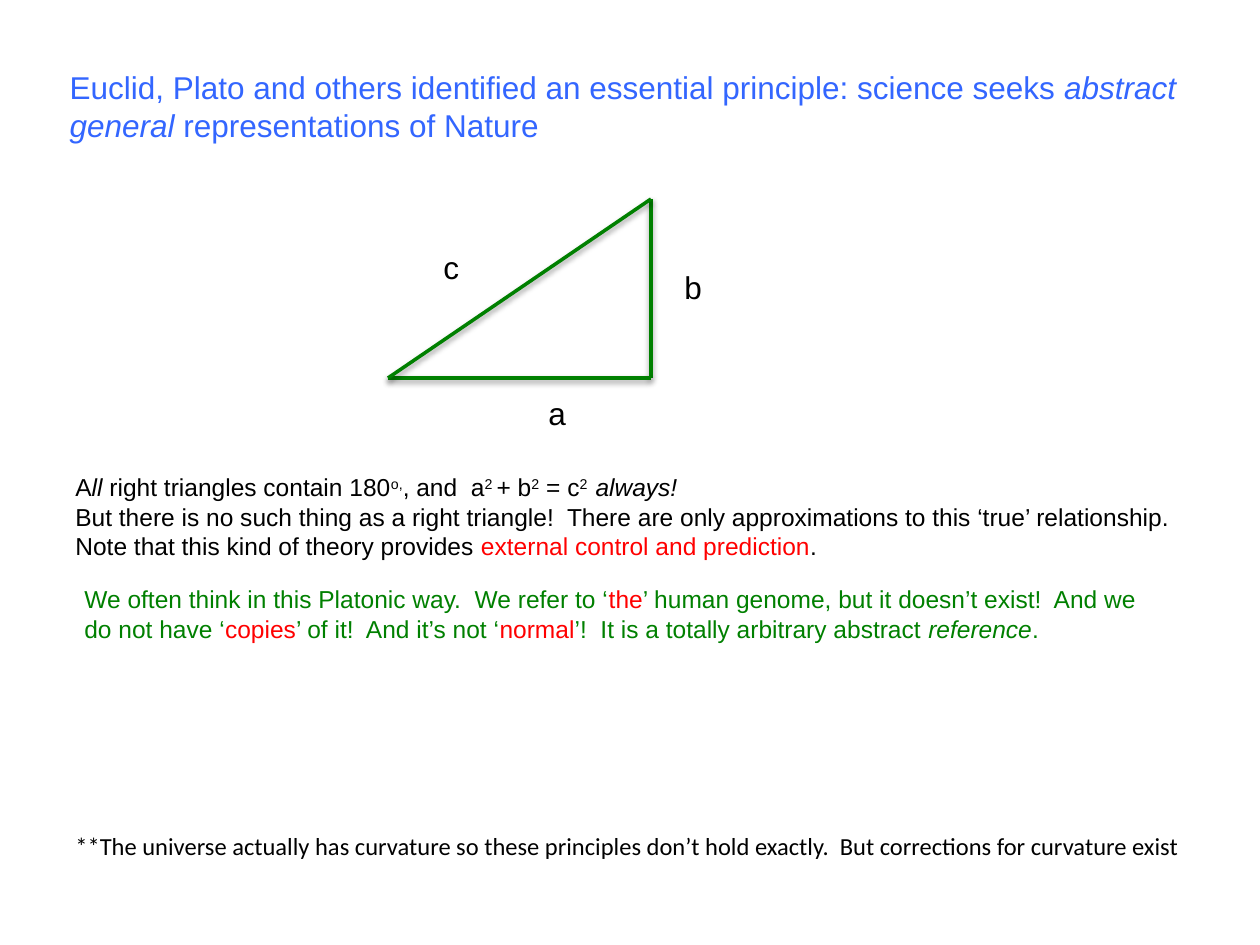
"""Build a slide on abstract principles, with a right triangle."""
from dataclasses import dataclass

from pptx import Presentation
from pptx.dml.color import RGBColor
from pptx.enum.shapes import MSO_CONNECTOR
from pptx.enum.text import MSO_ANCHOR, MSO_AUTO_SIZE, PP_ALIGN
from pptx.util import Emu, Inches, Pt

STRAIGHT = MSO_CONNECTOR.STRAIGHT
TOP = MSO_ANCHOR.TOP
LEFT = PP_ALIGN.LEFT
GROW = MSO_AUTO_SIZE.SHAPE_TO_FIT_TEXT
TITLE_ONLY = 5


@dataclass(frozen=True)
class Theme:
    """Colours, fonts and sizes."""
    blue: str = "3366FF"
    green: str = "008000"
    red: str = "FF0000"
    black: str = "000000"
    sans: str = "Arial"
    note: str = "Calibri"
    large: int = 18
    small: int = 14
    line: int = 2


THEME = Theme()

HEAD = [[
    ("Euclid, Plato and others identified an essential principle: science seeks ", ""),
    ("abstract general", "i"),
    (" representations of Nature", ""),
]]
RULES = [
    [("A", ""), ("ll ", "i"), ("right triangles contain 180", ""), ("o,", "s"),
     (", and  a", ""), ("2 ", "s"), ("+ b", ""), ("2", "s"), (" = c", ""),
     ("2  ", "s"), ("always!", "i")],
    [("But there is no such thing as a right triangle!  There are only "
      "approximations to this ‘true’ relationship.", "")],
    [("Note that this kind of theory provides ", ""),
     ("external control and prediction", "r"), (".", "")],
]
GENOME = [[
    ("We often think in this Platonic way.  We refer to ‘", ""), ("the", "r"),
    ("’ human genome, but it doesn’t exist!  And we do not have ‘", ""),
    ("copies", "r"), ("’ of it!  And it’s not ‘", ""), ("normal", "r"),
    ("’!  It is a totally arbitrary abstract ", ""), ("reference", "i"), (".", ""),
]]
NOTE = [[("**The universe actually has curvature so these principles don’t hold "
          "exactly.  But corrections for curvature exist", "")]]
SIDES = [("a", 536, 388), ("c", 431, 242), ("b", 672, 262)]
CORNERS = [(651, 199), (651, 378), (388, 378)]


def px(count):
    """Turn pixels into EMU."""
    return Emu(round(count * Inches(1) / 126))


def add_run(para, text, mark, size, color, face):
    """Add one run; marks are i italic, s superscript, r red."""
    run = para.add_run()
    run.text = text
    font = run.font
    font.name, font.size = face, Pt(size)
    font.italic = mark == "i"
    font.color.rgb = RGBColor.from_string(THEME.red if mark == "r" else color)
    if mark == "s":
        run._r.get_or_add_rPr().set("baseline", "30000")


def fill_text(shape, paras, size, color, face=THEME.sans, wrap=True):
    """Fill a shape with paragraphs of marked runs."""
    frame = shape.text_frame
    frame.word_wrap = wrap
    frame.auto_size = GROW
    frame.vertical_anchor = TOP
    for index, runs in enumerate(paras):
        para = frame.add_paragraph() if index else frame.paragraphs[0]
        para.alignment = LEFT
        for text, mark in runs:
            add_run(para, text, mark, size, color, face)


def add_title(slide):
    """Move and fill the title placeholder."""
    title = slide.shapes.title
    title.left, title.top, title.width, title.height = map(px, (57, 62, 1172, 89))
    fill_text(title, HEAD, THEME.large, THEME.blue)


def add_text(slide, place, paras, size, color, **style):
    """Add a text box."""
    box = slide.shapes.add_textbox(*map(px, place))
    fill_text(box, paras, size, color, **style)


def add_side(slide, start, end):
    """Draw one side of the triangle with the theme shadow."""
    side = slide.shapes.add_connector(STRAIGHT, *map(px, start + end))
    side.line.color.rgb = RGBColor.from_string(THEME.green)
    side.line.width = Pt(THEME.line)


def main():
    """Build and save the slide."""
    deck = Presentation()
    deck.slide_width, deck.slide_height = Inches(10), Inches(7.5)
    slide = deck.slides.add_slide(deck.slide_layouts[TITLE_ONLY])
    add_title(slide)
    add_text(slide, (63, 466, 1134, 102), RULES, THEME.small, THEME.black)
    for start, end in zip(CORNERS, CORNERS[1:] + CORNERS[:1]):
        add_side(slide, start, end)
    for name, left, top in SIDES:
        add_text(slide, (left, top, 43, 50), [[(name, "")]],
                 THEME.large, THEME.black, wrap=False)
    add_text(slide, (72, 578, 1097, 102), GENOME, THEME.small, THEME.green)
    add_text(slide, (63, 825, 1134, 43), NOTE, THEME.small, THEME.black,
             face=THEME.note)
    deck.save("out.pptx")


if __name__ == "__main__":
    main()
